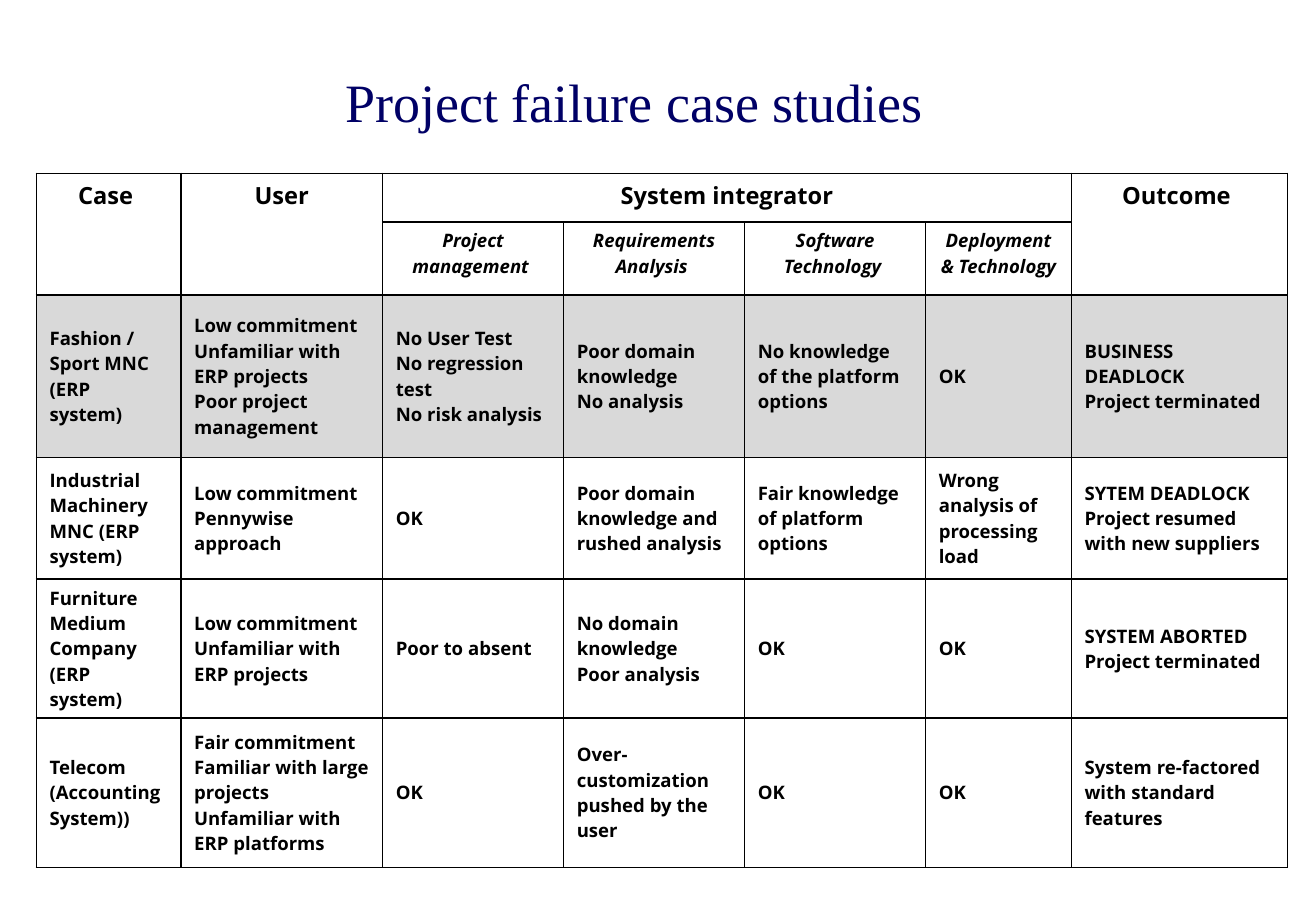
from lxml import etree
from pptx import Presentation
from pptx.dml.color import RGBColor
from pptx.enum import text as tx
from pptx.oxml import ns
from pptx.util import Pt

INK = "000000"
COLS = [85.7, 119.5, 107.3, 107.3, 107.3, 86.4, 128.2]
ROWS = [28.8, 43.2, 96.5, 72, 62.6, 88.6]

# Header cells: row, column, last row, last column, text
HEADS = [
    (0, 0, 1, 0, "Case "),
    (0, 1, 1, 1, "User"),
    (0, 2, 0, 5, "System integrator"),
    (0, 6, 1, 6, "Outcome "),
    (1, 2, 1, 2, "Project management "),
    (1, 3, 1, 3, "Requirements Analysis "),
    (1, 4, 1, 4, "Software Technology "),
    (1, 5, 1, 5, "Deployment & Technology"),
]

# One row per case; each line of a cell is a paragraph
CASES = [
    ["Fashion / Sport MNC (ERP system)",
     "Low commitment\nUnfamiliar with ERP projects\nPoor project management",
     "No User Test\nNo regression test\nNo risk analysis",
     "Poor domain knowledge\nNo analysis",
     "No knowledge of the platform options",
     "OK",
     "BUSINESS DEADLOCK\nProject terminated"],
    ["Industrial Machinery MNC (ERP system)",
     "Low commitment\nPennywise approach",
     "OK",
     "Poor domain knowledge and rushed analysis",
     "Fair knowledge of platform options",
     "Wrong analysis of processing load",
     "SYTEM DEADLOCK\nProject resumed with new suppliers"],
    ["Furniture Medium Company (ERP system)",
     "Low commitment\nUnfamiliar with ERP projects",
     "Poor to absent",
     "No domain knowledge\nPoor analysis",
     "OK",
     "OK",
     "SYSTEM ABORTED Project terminated"],
    ["Telecom (Accounting System))",
     "Fair commitment\nFamiliar with large projects\nUnfamiliar with ERP platforms",
     "OK",
     "Over- customization pushed by the user",
     "OK",
     "OK",
     "System re-factored with standard features"],
]


def paint(code):
    return RGBColor.from_string(code)


def write(para, words, size, face, code, align, bold=False, slant=False):
    para.alignment = align
    run = para.add_run()
    run.text = words
    font = run.font
    font.size, font.name = Pt(size), face
    font.bold, font.italic = bold, slant
    font.color.rgb = paint(code)


def add_title(slide, words):
    title = slide.shapes.title
    title.left, title.top = Pt(58.3), Pt(23.8)
    title.width, title.height = Pt(643.7), Pt(72)
    frame = title.text_frame
    frame.auto_size = tx.MSO_AUTO_SIZE.NONE
    frame.word_wrap = True
    frame.vertical_anchor = tx.MSO_ANCHOR.MIDDLE
    write(frame.paragraphs[0], words, 32, "Times New Roman", "000066",
          tx.PP_ALIGN.CENTER)


def frame_cell(cell, fill):
    # Borders come before the fill in the cell properties
    props = cell._tc.get_or_add_tcPr()
    for side in ("lnL", "lnR", "lnT", "lnB"):
        line = etree.SubElement(props, ns.qn("a:" + side), w=str(Pt(1)))
        solid = etree.SubElement(line, ns.qn("a:solidFill"))
        etree.SubElement(solid, ns.qn("a:srgbClr"), val=INK)
    cell.fill.solid()
    cell.fill.fore_color.rgb = paint(fill)
    cell.margin_left = cell.margin_right = Pt(7.8)
    cell.margin_top = cell.margin_bottom = Pt(3.6)


def fill_cell(cell, words, size, align, anchor, slant=False):
    cell.vertical_anchor = anchor
    frame = cell.text_frame
    for n, part in enumerate(words.split("\n")):
        para = frame.add_paragraph() if n else frame.paragraphs[0]
        write(para, part, size, "Open Sans", INK, align, True, slant)


def add_grid(slide):
    shape = slide.shapes.add_table(len(ROWS), len(COLS), Pt(21.6), Pt(102.8),
                                   Pt(sum(COLS)), Pt(sum(ROWS)))
    grid = shape.table
    grid.first_row = grid.horz_banding = False
    for col, wide in zip(grid.columns, COLS):
        col.width = Pt(wide)
    for r, high in enumerate(ROWS):
        grid.rows[r].height = Pt(high)
        for c in range(len(COLS)):
            frame_cell(grid.cell(r, c), "D9D9D9" if r == 2 else "FFFFFF")

    # Headers
    for r, c, last, end, words in HEADS:
        cell = grid.cell(r, c)
        if (r, c) != (last, end):
            cell.merge(grid.cell(last, end))
        fill_cell(cell, words, 11 if r else 14, tx.PP_ALIGN.CENTER,
                  tx.MSO_ANCHOR.TOP, slant=r == 1)

    # Cases
    for r, case in enumerate(CASES, 2):
        for c, words in enumerate(case):
            fill_cell(grid.cell(r, c), words, 11, tx.PP_ALIGN.LEFT,
                      tx.MSO_ANCHOR.MIDDLE)


def main():
    deck = Presentation()
    deck.slide_width, deck.slide_height = Pt(780), Pt(540)
    slide = deck.slides.add_slide(deck.slide_layouts[5])
    add_title(slide, "Project failure case studies ")
    add_grid(slide)
    deck.save("out.pptx")


if __name__ == "__main__":
    main()
